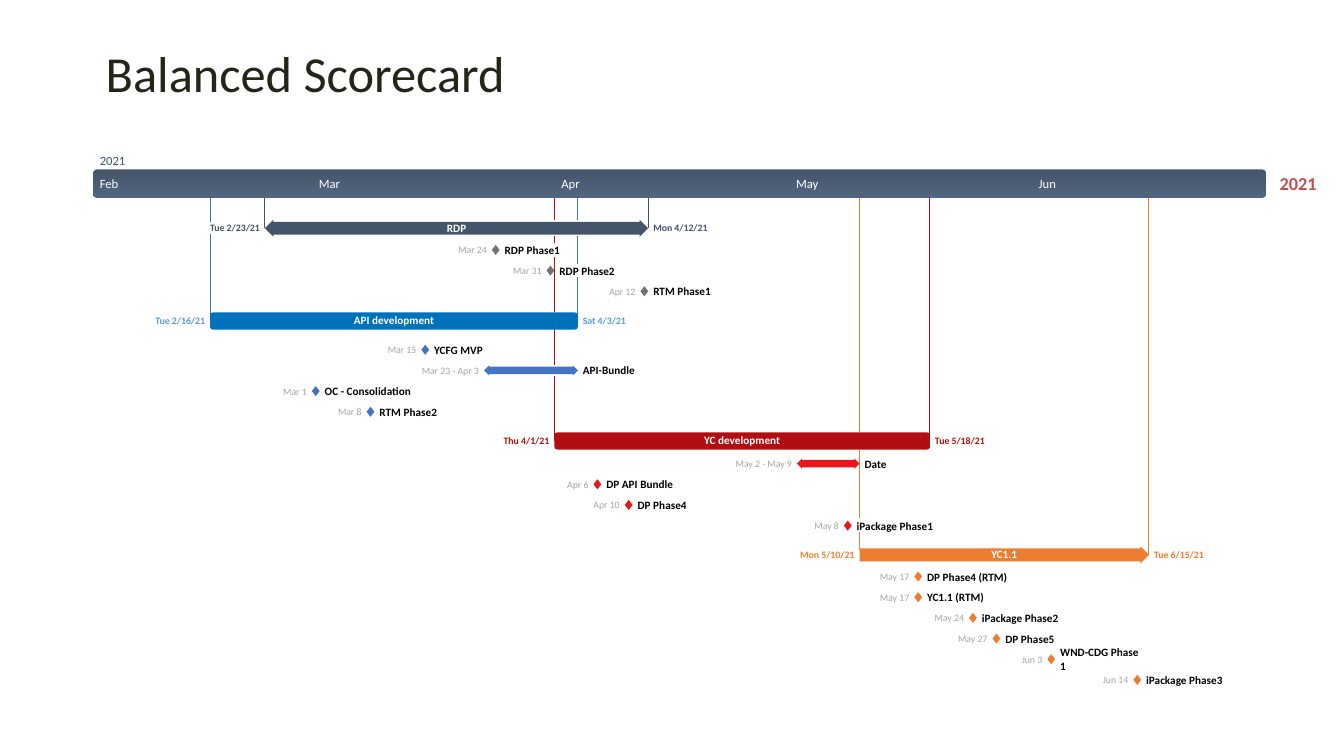
from pptx import Presentation
from pptx.dml.color import RGBColor
from pptx.enum.shapes import MSO_CONNECTOR, MSO_SHAPE
from pptx.enum.text import MSO_ANCHOR, PP_ALIGN
from pptx.oxml.ns import qn
from pptx.util import Inches, Pt
from lxml import etree

HUES = {
    "navy": "44546A", "steel": "52667F", "gray": "737373", "pale": "A5A5A5",
    "blue": "4472C4", "sky": "5B9BD5", "deep": "0072BC", "wine": "B20E12",
    "red": "EA161E", "gold": "ED7D31", "rose": "C0504D", "ink": "222518",
    "black": "000000", "white": "FFFFFF",
}
LEFT, WIDE = 0.92, 11.64
DAY = WIDE / 150
STEP = 0.41 / 2
GAP = 0.05
SLACK = 0.1
START, MID, END = PP_ALIGN.LEFT, PP_ALIGN.CENTER, PP_ALIGN.RIGHT
SHIFT = {START: 0, MID: SLACK / 2, END: SLACK}

deck = Presentation()
deck.slide_width, deck.slide_height = Inches(13.33), Inches(7.5)
slide = deck.slides.add_slide(deck.slide_layouts[6])


def write(text, x, y, w, h, size, hue, bold=False, align=START, wrap=False, pad=True):
    if not wrap:
        x, w = x - SHIFT[align], w + SLACK
    box = slide.shapes.add_textbox(Inches(x), Inches(y), Inches(w), Inches(h))
    frame = box.text_frame
    frame.word_wrap = wrap
    if pad:
        frame.margin_left = frame.margin_right = 0
        frame.margin_top = frame.margin_bottom = 0
        frame.vertical_anchor = MSO_ANCHOR.MIDDLE
    para = frame.paragraphs[0]
    para.alignment = align
    run = para.add_run()
    run.text = text
    run.font.name, run.font.size, run.font.bold = "Calibri", Pt(size), bold
    run.font.color.rgb = RGBColor.from_string(HUES[hue])


def draw(kind, x, y, w, h, hue):
    shape = slide.shapes.add_shape(kind, Inches(x), Inches(y), Inches(w), Inches(h))
    shape.shadow.inherit = False
    shape.line.fill.background()
    shape.fill.solid()
    shape.fill.fore_color.rgb = RGBColor.from_string(HUES[hue])
    if kind != MSO_SHAPE.ROUNDED_RECTANGLE:
        shape.adjustments[0] = 0.75
    return shape


months = [("Feb", 28, 0.19), ("Mar", 31, 0.21), ("Apr", 30, 0.18),
          ("May", 31, 0.23), ("Jun", 30, 0.17)]
dates = {}
for num, (month, days, _) in enumerate(months, 2):
    for day in range(1, days + 1):
        place = LEFT + len(dates) / 2 * DAY
        dates[f"{month} {day}"] = dates[f"{num}/{day}/21"] = place

write("2021", 12.69, 1.71, 0.37, 0.22, 13, "rose", True, MID)

drops = [
    ("Jun 16", "gold", [(1.95, 5.5)]),
    ("May 10", "gold", [(1.95, 4.29), (4.46, 5.14), (5.28, 5.46)]),
    ("May 19", "wine", [(1.95, 4.38)]),
    ("Apr 1", "wine", [(1.95, 2.18), (2.34, 2.41), (2.55, 3.1), (3.26, 3.62), (3.73, 4.38)]),
    ("Apr 4", "blue", [(1.95, 2.18), (2.34, 2.62), (2.75, 3.18)]),
    ("Feb 16", "blue", [(1.95, 2.2), (2.32, 3.18)]),
    ("Apr 13", "navy", [(1.95, 2.26)]),
    ("Feb 23", "navy", [(1.95, 2.26)]),
]
for date, hue, spans in drops:
    x = Inches(dates[date])
    for top, low in spans:
        line = slide.shapes.add_connector(MSO_CONNECTOR.STRAIGHT, x, Inches(top), x, Inches(low))
        line.line.width = Pt(0.75)
        line.line.color.rgb = RGBColor.from_string(HUES[hue])
        etree.SubElement(line._element.spPr, qn("a:effectLst"))

band = draw(MSO_SHAPE.ROUNDED_RECTANGLE, LEFT, 1.68, WIDE, 0.28, "navy")
band.fill.gradient()
band.fill.gradient_angle = 270
for stop, hue, spot in zip(band.fill.gradient_stops, ("navy", "steel"), (0, 1)):
    stop.color.rgb = RGBColor.from_string(HUES[hue])
    stop.position = spot
for month, _, w in months:
    write(month, dates[f"{month} 1"] + 0.07, 1.74, w, 0.15, 9, "white")
write("2021", 0.99, 1.52, 0.25, 0.15, 9, "navy")

ROUND, BOTH, RIGHT = MSO_SHAPE.ROUNDED_RECTANGLE, MSO_SHAPE.LEFT_RIGHT_ARROW, MSO_SHAPE.RIGHT_ARROW
tasks = [
    ("RDP", 0.19, "Tue 2/23/21", 0.51, "Mon 4/12/21", 0.54, 2.18, 2.48, BOTH, "navy", "navy", "gray", [
        ("Mar 24", 0.29, "RDP Phase1", 0.58),
        ("Mar 31", 0.29, "RDP Phase2", 0.58),
        ("Apr 12", 0.26, "RTM Phase1", 0.6),
    ]),
    ("API development", 0.81, "Tue 2/16/21", 0.51, "Sat 4/3/21", 0.43, 3.1, 3.47, ROUND, "deep", "sky", "blue", [
        ("Mar 15", 0.29, "YCFG MVP", 0.51),
        ("Mar 23 - Apr 3", 0.58, "API-Bundle", 0.53),
        ("Mar 1", 0.24, "OC - Consolidation", 0.89),
        ("Mar 8", 0.24, "RTM Phase2", 0.6),
    ]),
    ("YC development", 0.75, "Thu 4/1/21", 0.46, "Tue 5/18/21", 0.51, 4.29, 4.6, ROUND, "wine", "wine", "red", [
        ("May 2 - May 9", 0.57, "Date", 0.22),
        ("Apr 6", 0.22, "DP API Bundle", 0.69),
        ("Apr 10", 0.26, "DP Phase4", 0.51),
        ("May 8", 0.25, "iPackage Phase1", 0.76),
    ]),
    ("YC1.1", 0.26, "Mon 5/10/21", 0.54, "Tue 6/15/21", 0.51, 5.42, 5.72, RIGHT, "gold", "gold", "gold", [
        ("May 17", 0.31, "DP Phase4 (RTM)", 0.81),
        ("May 17", 0.31, "YC1.1 (RTM)", 0.57),
        ("May 24", 0.31, "iPackage Phase2", 0.76),
        ("May 27", 0.31, "DP Phase5", 0.51),
        ("Jun 3", 0.21, "WND-CDG Phase 1", 0.86),
        ("Jun 14", 0.26, "iPackage Phase3", 0.76),
    ]),
]
for name, w, first, fw, last, lw, top, row, kind, fill, hue, mark, steps in tasks:
    x, end = dates[first.split()[1]], dates[last.split()[1]] + DAY
    draw(kind, x, top, end - x, 0.17, fill)
    write(first, x - GAP - fw, top + 0.02, fw, 0.12, 7, hue, True, END)
    write(last, end + GAP, top + 0.02, lw, 0.12, 7, hue, True)
    write(name, (x + end - w) / 2, top + 0.01, w, 0.14, 8, "white", True, MID)
    for i, (when, dw, goal, gw) in enumerate(steps):
        y = row + i * STEP
        ends = when.split(" - ")
        x, end = dates[ends[0]], dates[ends[-1]] + DAY
        draw(BOTH, x, y - 0.05, end - x, 0.1, mark)
        write(when, x - GAP - dw, y - 0.06, dw, 0.12, 7, "pale", align=END)
        write(goal, end + GAP, y - 0.07, gw, 0.14, 8, "black", True, wrap=goal.startswith("WND"))

write("Balanced Scorecard", 0.95, 0.37, 8.09, 0.71, 36, "ink", wrap=True, pad=False)
deck.save("out.pptx")
